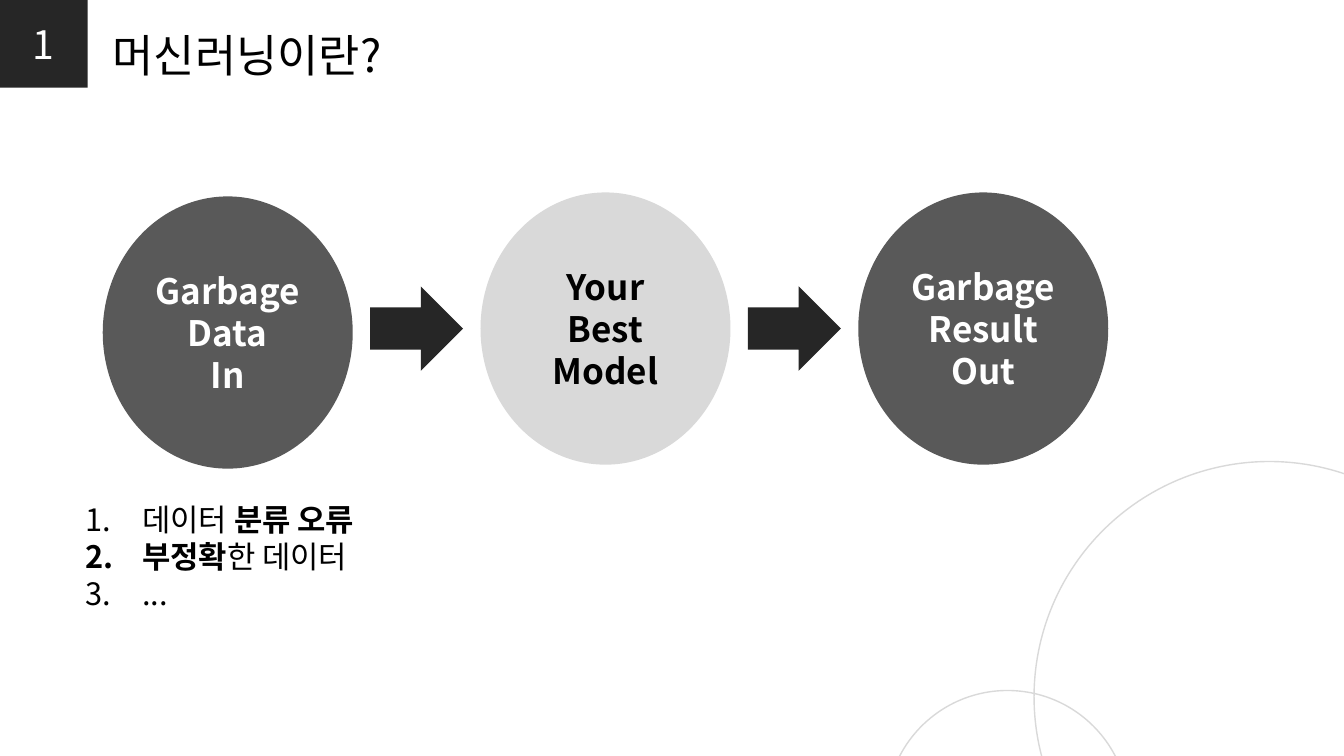
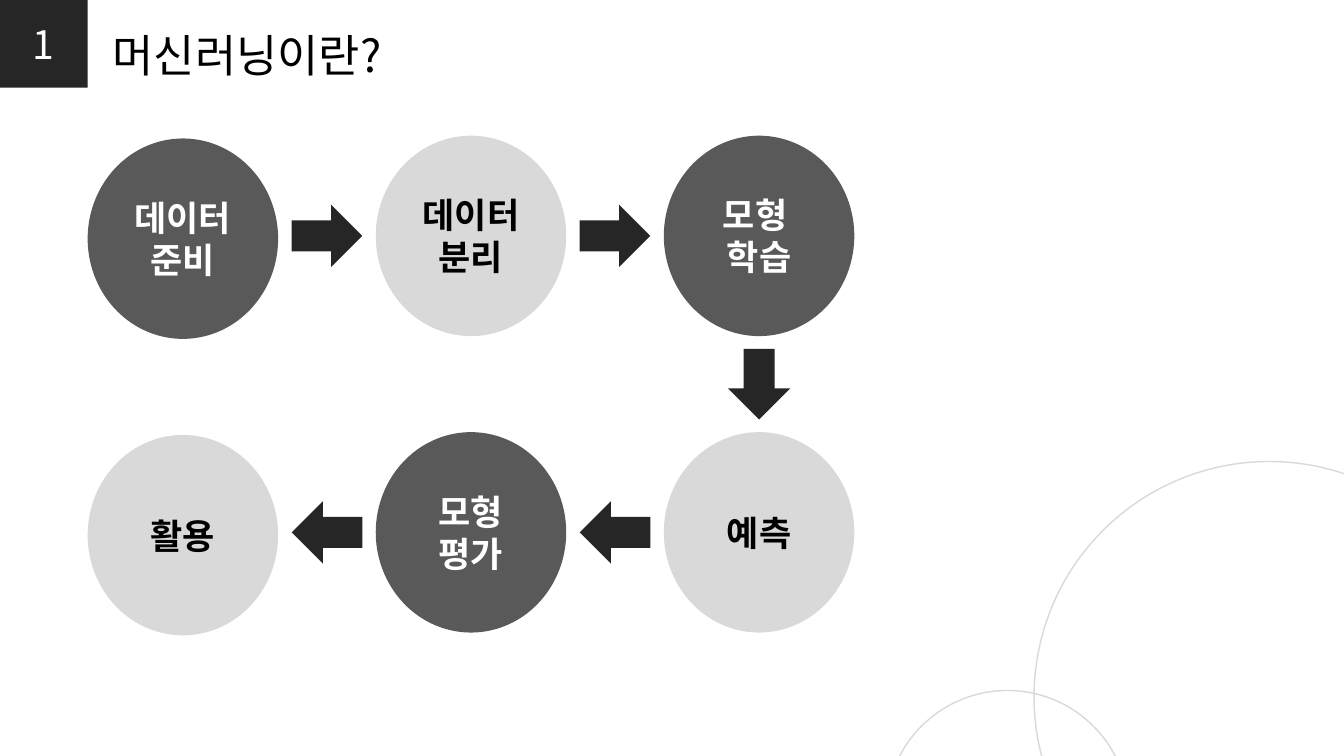
from lxml.etree import SubElement
from pptx import Presentation
from pptx.dml.color import RGBColor
from pptx.enum.shapes import MSO_SHAPE as Kind
from pptx.enum.text import MSO_ANCHOR as Anchor, MSO_AUTO_SIZE as Fit, PP_ALIGN as Align
from pptx.oxml.ns import qn
from pptx.util import Cm, Pt

FONT = "Noto Sans CJK KR"
BLACK, WHITE = "000000", "FFFFFF"
INK, DARK, LIGHT = "262626", "595959", "D9D9D9"


def paint(color, code):
    """Set a fill, line or font colour from a hex string."""
    color.rgb = RGBColor.from_string(code)


def style(para, size, code, bold=False):
    """Set the font of a paragraph for Latin and Korean letters."""
    font = para.font
    font.size, font.bold = Pt(size), bold
    paint(font.color, code)
    font.name = FONT
    base = para._p.get_or_add_pPr().find(qn("a:defRPr"))
    SubElement(base, qn("a:ea")).set("typeface", FONT)


def shape(slide, kind, x, y, w, h, fill=None, line=None):
    """Add a flat shape with an optional fill and outline."""
    item = slide.shapes.add_shape(kind, Cm(x), Cm(y), Cm(w), Cm(h))
    item.shadow.inherit = False
    if fill:
        item.fill.solid()
        paint(item.fill.fore_color, fill)
    else:
        item.fill.background()
    if line:
        paint(item.line.color, line)
        item.line.width = Pt(1)
    else:
        item.line.fill.background()
    return item


def label(item, lines, size, code, bold=False):
    """Write centred lines inside a shape."""
    frame = item.text_frame
    frame.word_wrap = True
    frame.vertical_anchor = Anchor.MIDDLE
    for i, line in enumerate(lines):
        para = frame.add_paragraph() if i else frame.paragraphs[0]
        para.text = line
        para.alignment = Align.CENTER
        style(para, size, code, bold)


def textbox(slide, x, y, w, h, wrap):
    """Add a text box that grows with its text and return its frame."""
    frame = slide.shapes.add_textbox(Cm(x), Cm(y), Cm(w), Cm(h)).text_frame
    frame.word_wrap = wrap
    frame.auto_size = Fit.SHAPE_TO_FIT_TEXT
    return frame


def page(deck, number, title):
    """Add a slide with corner rings, number badge and title."""
    slide = deck.slides.add_slide(deck.slide_layouts[6])
    for x, y, size in ((26.06, 11.63, 11.86), (22.33, 17.4, 6.12)):
        shape(slide, Kind.OVAL, x, y, size, size, line=LIGHT)
    badge = shape(slide, Kind.RECTANGLE, 0, 0, 2.21, 2.21, INK)
    label(badge, [number], 28, WHITE)
    para = textbox(slide, 2.59, 0.58, 7.95, 1.63, False).paragraphs[0]
    para.text = title
    style(para, 32, BLACK)
    return slide


def arrow(slide, mid_x, mid_y, size, turn=0):
    """Add a block arrow around a centre point."""
    w, h = size
    item = shape(slide, Kind.RIGHT_ARROW, mid_x - w / 2, mid_y - h / 2, w, h, INK)
    item.rotation = turn


def row(slide, x, y, disc, pitch, drop, tip, steps, dark=True, turn=0):
    """Add discs of alternating tone, the first one lower, with arrows between."""
    w, h = disc
    for i, lines in enumerate(steps):
        deep = dark == (i % 2 == 0)
        left, top = x + i * pitch, y if i else y + drop
        item = shape(slide, Kind.OVAL, left, top, w, h, DARK if deep else LIGHT)
        label(item, lines, 25, WHITE if deep else BLACK, True)
    for i in range(len(steps) - 1):
        arrow(slide, x + i * pitch + (w + pitch) / 2, y + h / 2, tip, turn)


def numbered(slide, x, y, w, h, items):
    """Add a numbered list whose items are (text, bold) runs."""
    frame = textbox(slide, x, y, w, h, True)
    for i, runs in enumerate(items):
        para = frame.add_paragraph() if i else frame.paragraphs[0]
        props = para._p.get_or_add_pPr()
        props.set("marL", str(Cm(1.43)))
        props.set("indent", str(Cm(-1.43)))
        SubElement(props, qn("a:buFont")).set("typeface", "+mj-lt")
        SubElement(props, qn("a:buAutoNum")).set("type", "arabicPeriod")
        for text, bold in runs:
            run = para.add_run()
            run.text = text
            run.font.bold = bold
        style(para, 22, BLACK)


def garbage(deck):
    """Build the garbage in, garbage out slide."""
    slide = page(deck, "1", "머신러닝이란?")
    steps = [("Garbage", "Data", "In"), ("Your", "Best", "Model"),
             ("Garbage", "Result", "Out")]
    row(slide, 2.59, 4.85, (6.3, 6.86), 9.52, 0.1, (2.34, 2.13), steps)
    numbered(slide, 1.91, 12.5, 13.94, 4.01, [
        [("데이터 ", False), ("분류 오류", True)],
        [("부정확", True), ("한 데이터", False)],
        [("...", False)],
    ])


def process(deck):
    """Build the six-step modelling process slide."""
    slide = page(deck, "1", "머신러닝이란?")
    x, y, pitch, rise, drop = 2.21, 3.42, 7.26, 7.47, 0.07
    disc, tip = (4.8, 5.05), (1.78, 1.57)
    ahead = [("데이터", "준비"), ("데이터", "분리"), ("모형 ", "학습")]
    back = [("활용",), ("모형", "평가"), ("예측",)]
    row(slide, x, y, disc, pitch, drop, tip, ahead)
    arrow(slide, x + 2 * pitch + disc[0] / 2, y + (disc[1] + rise) / 2, tip, 90)
    row(slide, x, y + rise, disc, pitch, drop, tip, back, False, 180)


def main():
    """Build and save the deck."""
    deck = Presentation()
    deck.slide_width, deck.slide_height = Cm(33.87), Cm(19.05)
    garbage(deck)
    process(deck)
    deck.save("out.pptx")


if __name__ == "__main__":
    main()
